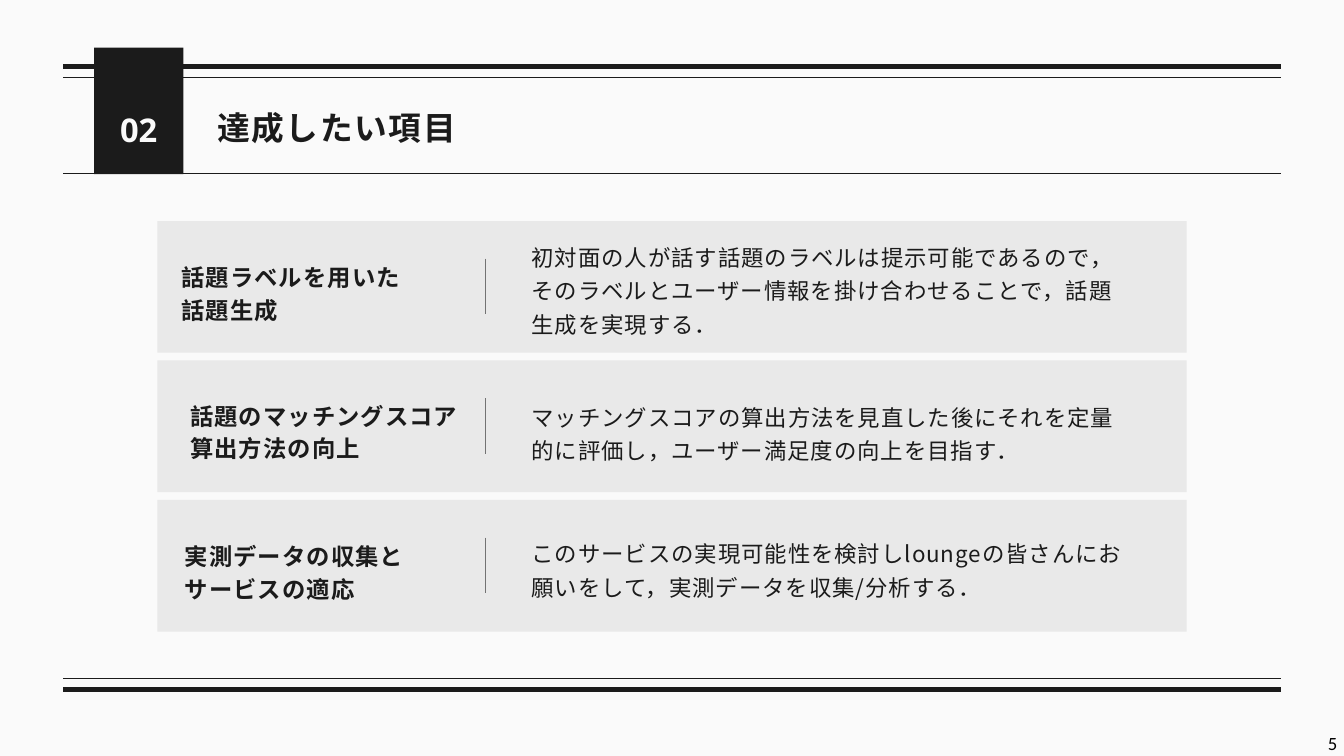
from pptx import Presentation
from pptx.dml.color import RGBColor as RGB
from pptx.enum.shapes import MSO_CONNECTOR as Conn, MSO_SHAPE as Shape
from pptx.enum.text import MSO_ANCHOR as Anchor, MSO_AUTO_SIZE as Fit, PP_ALIGN as Align
from pptx.oxml.ns import qn
from pptx.util import Inches, Pt
from lxml import etree

COLORS = {"ink": "1B1B1B", "paper": "FAFAFA", "card": "E9E9E9",
          "rule": "737373", "black": "000000"}
SANS = "Noto Sans CJK JP"

# Frame rules: height on the slide, line width
RULES = [(0.99, 4.5), (1.15, 1.5), (2.58, 1.5), (10.1, 1.5), (10.26, 4.5)]

# Cards: label lines, label left and top, body text, body top
CARDS = [
    (["話題ラベルを用いた", "話題生成"], 2.7, 3.85,
     "初対面の人が話す話題のラベルは提示可能であるので，そのラベルとユーザー情報を"
     "掛け合わせることで，話題生成を実現する．", 3.53),
    (["話題のマッチングスコア", "算出方法の向上"], 2.83, 5.91,
     "マッチングスコアの算出方法を見直した後にそれを定量的に評価し，"
     "ユーザー満足度の向上を目指す．", 5.91),
    (["実測データの収集と", "サービスの適応"], 2.75, 8,
     "このサービスの実現可能性を検討しloungeの皆さんにお願いをして，"
     "実測データを収集/分析する．", 7.94),
]
CARD_TOP, CARD_STEP = 3.29, 2.075


def color(name):
    return RGB.from_string(COLORS[name])


def add_line(slide, x1, y1, x2, y2, tint, width):
    line = slide.shapes.add_connector(
        Conn.STRAIGHT, Inches(x1), Inches(y1), Inches(x2), Inches(y2))
    line.line.color.rgb = color(tint)
    line.line.width = Pt(width)
    etree.SubElement(line._element.spPr, qn("a:effectLst"))


def add_block(slide, x, y, w, h, tint):
    block = slide.shapes.add_shape(
        Shape.RECTANGLE, Inches(x), Inches(y), Inches(w), Inches(h))
    block.shadow.inherit = False
    block.fill.solid()
    block.fill.fore_color.rgb = color(tint)
    block.line.fill.background()


def write(frame, lines, size, lead=None, font=SANS, tint="ink", bold=False,
          track=0, align=Align.LEFT, anchor=Anchor.TOP):
    frame.word_wrap = True
    frame.auto_size = Fit.NONE
    frame.vertical_anchor = anchor
    frame.margin_left = frame.margin_right = 0
    frame.margin_top = frame.margin_bottom = 0
    for i, text in enumerate(lines):
        para = frame.add_paragraph() if i else frame.paragraphs[0]
        para.alignment = align
        if lead:
            para.line_spacing = Pt(lead)
        run = para.add_run()
        run.text = text
        run.font.size = Pt(size)
        run.font.bold = bold
        run.font.color.rgb = color(tint)
        run.font.name = font
        # East Asian font and letter spacing
        props = run._r.get_or_add_rPr()
        etree.SubElement(props, qn("a:ea")).set("typeface", font)
        if track:
            props.set("spc", str(round(track * 100)))


def add_text(slide, x, y, w, h, lines, size, **style):
    box = slide.shapes.add_textbox(Inches(x), Inches(y), Inches(w), Inches(h))
    write(box.text_frame, lines, size, **style)


def set_title(slide, text):
    title = slide.shapes.title
    title.left, title.top = Inches(3.23), Inches(1.5)
    title.width, title.height = Inches(15.65), Inches(0.65)
    write(title.text_frame, [text], 35, lead=49, bold=True, track=1.8)


def add_card(slide, top, label, left, label_top, body, body_top):
    add_block(slide, 2.34, top, 15.32, 1.96, "card")
    add_line(slide, 7.22, top + 0.56, 7.22, top + 1.39, "rule", 0.75)
    add_text(slide, left, label_top, 4.3, 0.95, label, 25,
             lead=35, bold=True, track=1.2)
    add_text(slide, 7.91, body_top, 8.96, 0.96, [body], 24, lead=36, track=1)


def main():
    prs = Presentation()
    prs.slide_width, prs.slide_height = Inches(20), Inches(11.25)
    slide = prs.slides.add_slide(prs.slide_layouts[5])
    slide.background.fill.solid()
    slide.background.fill.fore_color.rgb = color("paper")

    # Frame and header
    for y, width in RULES:
        add_line(slide, 0.94, y, 19.06, y, "ink", width)
    add_block(slide, 1.4, 0.71, 1.33, 1.88, "ink")
    set_title(slide, "達成したい項目")
    add_text(slide, 1.6, 1.34, 0.93, 0.79, ["02"], 35, lead=63,
             font="Open Sans", tint="paper", bold=True, align=Align.CENTER)

    # Goal cards
    for i, card in enumerate(CARDS):
        add_card(slide, CARD_TOP + i * CARD_STEP, *card)

    # Page number
    add_text(slide, 17.67, 10.85, 2.23, 0.4, ["5"], 20, font="Calibri",
             tint="black", align=Align.RIGHT, anchor=Anchor.MIDDLE)
    prs.save("out.pptx")


if __name__ == "__main__":
    main()
